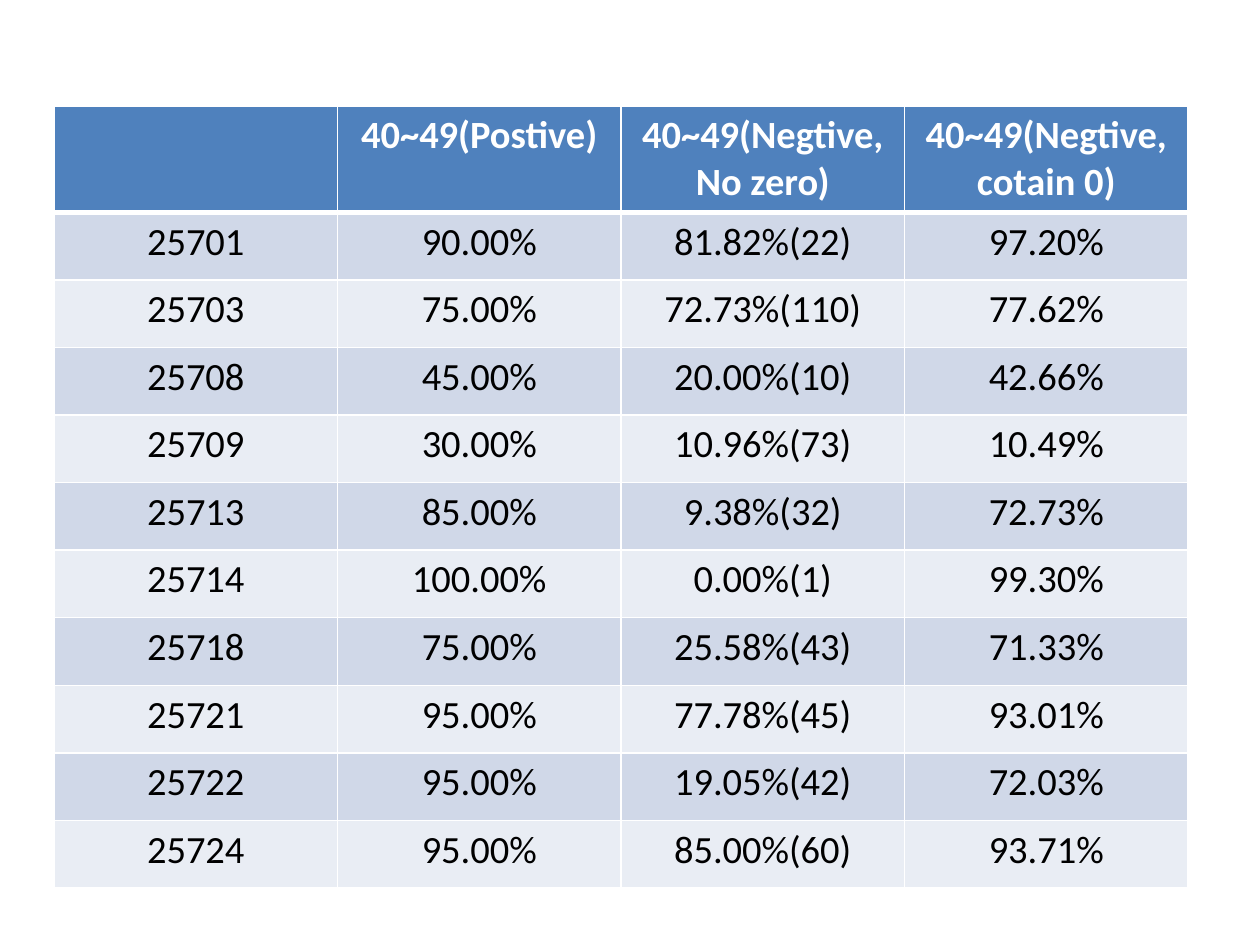
from lxml import etree
from pptx import Presentation
from pptx.dml.color import RGBColor
from pptx.enum.text import PP_ALIGN
from pptx.oxml.ns import qn
from pptx.util import Pt

CENTER = PP_ALIGN.CENTER
PIXEL = 914400 / 126

# Content: each header is a list of paragraphs
HEADERS = [[], ["40~49(Postive)"], ["40~49(Negtive,", "No zero)"],
           ["40~49(Negtive, cotain 0)"]]
RESULTS = [
    ("25701", "90.00%", "81.82%(22)", "97.20%"),
    ("25703", "75.00%", "72.73%(110)", "77.62%"),
    ("25708", "45.00%", "20.00%(10)", "42.66%"),
    ("25709", "30.00%", "10.96%(73)", "10.49%"),
    ("25713", "85.00%", "9.38%(32)", "72.73%"),
    ("25714", "100.00%", "0.00%(1)", "99.30%"),
    ("25718", "75.00%", "25.58%(43)", "71.33%"),
    ("25721", "95.00%", "77.78%(45)", "93.01%"),
    ("25722", "95.00%", "19.05%(42)", "72.03%"),
    ("25724", "95.00%", "85.00%(60)", "93.71%"),
]
THEME = {
    "font": "Calibri", "size": 22,
    "header": "4F81BD", "bands": ("D0D8E8", "E9EDF4"),
    "header_text": "FFFFFF", "body_text": "000000",
    "border": "FFFFFF", "thin": 1, "thick": 3,
}

# Layout in pixels
PAGE_WIDTH, PAGE_HEIGHT = 1260, 945
LEFT, TOP, WIDTH, HEIGHT = 54, 106, 1134, 781
HEADER_HEIGHT = 105


def px(value):
    return round(value * PIXEL)


def set_borders(cell, bottom, top):
    properties = cell._tc.get_or_add_tcPr()
    edges = {"L": THEME["thin"], "R": THEME["thin"], "T": top, "B": bottom}
    for index, (edge, width) in enumerate(edges.items()):
        line = etree.Element(qn("a:ln" + edge), w=str(Pt(width)))
        fill = etree.SubElement(line, qn("a:solidFill"))
        etree.SubElement(fill, qn("a:srgbClr"), val=THEME["border"])
        properties.insert(index, line)


def write_cell(cell, lines, color, bold):
    frame = cell.text_frame
    for index, line in enumerate(lines):
        para = frame.add_paragraph() if index else frame.paragraphs[0]
        para.alignment = CENTER
        span = para.add_run()
        span.text = line
        span.font.name = THEME["font"]
        span.font.size = Pt(THEME["size"])
        span.font.bold = bold
        span.font.color.rgb = RGBColor.from_string(color)


deck = Presentation()
deck.slide_width, deck.slide_height = px(PAGE_WIDTH), px(PAGE_HEIGHT)
page = deck.slides.add_slide(deck.slide_layouts[6])

# Table grid
rows = [HEADERS] + [[[value] for value in result] for result in RESULTS]
table = page.shapes.add_table(len(rows), len(HEADERS), px(LEFT), px(TOP),
                              px(WIDTH), px(HEIGHT)).table
for column in table.columns:
    column.width = px(WIDTH / len(HEADERS))
for index, row in enumerate(table.rows):
    row.height = px((HEIGHT - HEADER_HEIGHT) / len(RESULTS) if index else HEADER_HEIGHT)

# Cells: header row, then alternating bands
for row_index, row in enumerate(rows):
    is_header = row_index == 0
    fill = THEME["header"] if is_header else THEME["bands"][(row_index - 1) % 2]
    color = THEME["header_text"] if is_header else THEME["body_text"]
    bottom = THEME["thick"] if is_header else THEME["thin"]
    top = THEME["thick"] if row_index == 1 else THEME["thin"]
    for column_index, lines in enumerate(row):
        cell = table.cell(row_index, column_index)
        cell.fill.solid()
        cell.fill.fore_color.rgb = RGBColor.from_string(fill)
        set_borders(cell, bottom, top)
        write_cell(cell, lines, color, is_header)

deck.save("out.pptx")
